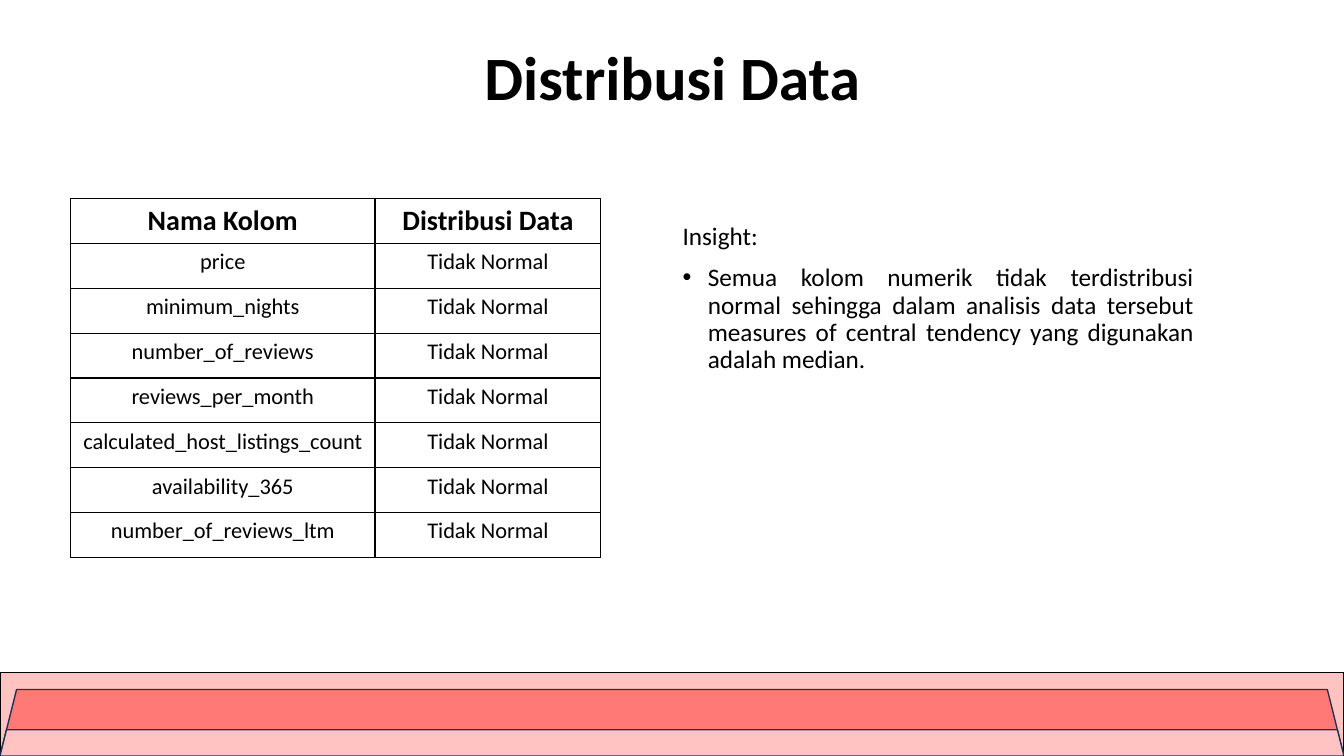
from pptx import Presentation
from pptx.dml.color import RGBColor
from pptx.enum.shapes import MSO_SHAPE as Preset
from pptx.enum.text import MSO_ANCHOR as Anchor, PP_ALIGN as Align
from pptx.oxml.ns import qn
from pptx.util import Inches, Pt
from lxml.etree import SubElement

BLACK = RGBColor(0x00, 0x00, 0x00)
WHITE = RGBColor(0xFF, 0xFF, 0xFF)
PINK = RGBColor(0xFF, 0xC4, 0xC2)
CORAL = RGBColor(0xFF, 0x79, 0x77)
NAVY = RGBColor(0x1E, 0x32, 0x56)
FONT = "Calibri"

SLIDE_WIDTH, SLIDE_HEIGHT = 13.33, 7.5
HEADERS = ("Nama Kolom", "Distribusi Data")
COLUMN_WIDTHS = (3.02, 2.24)
NUMERIC_COLUMNS = (
    "price",
    "minimum_nights",
    "number_of_reviews",
    "reviews_per_month",
    "calculated_host_listings_count",
    "availability_365",
    "number_of_reviews_ltm",
)
INSIGHT = (
    "Semua kolom numerik tidak terdistribusi normal sehingga dalam analisis "
    "data tersebut measures of central tendency yang digunakan adalah median."
)


def place(shape, left, top, width, height):
    shape.left, shape.top = Inches(left), Inches(top)
    shape.width, shape.height = Inches(width), Inches(height)


def add_run(paragraph, text, size, bold=False):
    run = paragraph.add_run()
    run.text = text
    run.font.name = FONT
    run.font.size = Pt(size)
    run.font.bold = bold
    run.font.color.rgb = BLACK


def set_bullet(paragraph, symbol=None):
    properties = paragraph._p.get_or_add_pPr()
    indent = Inches(0.25) if symbol else 0
    properties.set("marL", str(indent))
    properties.set("indent", str(-indent))
    if symbol:
        SubElement(properties, qn("a:buFont"), typeface="Arial")
        SubElement(properties, qn("a:buChar"), char=symbol)
    else:
        SubElement(properties, qn("a:buNone"))


def fill_title(title, left, top, width, height):
    place(title, left, top, width, height)
    title.text_frame.vertical_anchor = Anchor.MIDDLE
    paragraph = title.text_frame.paragraphs[0]
    paragraph.alignment = Align.CENTER
    paragraph.line_spacing = 0.9
    add_run(paragraph, "Distribusi Data", 44, bold=True)


def add_borders(cell):
    properties = cell._tc.get_or_add_tcPr()
    for position, side in enumerate(("lnL", "lnR", "lnT", "lnB")):
        line = properties.makeelement(qn(f"a:{side}"), {"w": str(Pt(1))})
        fill = SubElement(line, qn("a:solidFill"))
        SubElement(fill, qn("a:srgbClr"), val=str(BLACK))
        properties.insert(position, line)


def add_distribution_table(slide, left, top, width, height):
    rows = [HEADERS] + [(name, "Tidak Normal") for name in NUMERIC_COLUMNS]
    table = slide.shapes.add_table(
        len(rows), len(HEADERS),
        Inches(left), Inches(top), Inches(width), Inches(height),
    ).table
    for column, column_width in zip(table.columns, COLUMN_WIDTHS):
        column.width = Inches(column_width)
    for row_index, row in enumerate(rows):
        is_header = row_index == 0
        for column_index, text in enumerate(row):
            cell = table.cell(row_index, column_index)
            cell.fill.solid()
            cell.fill.fore_color.rgb = WHITE
            add_borders(cell)
            paragraph = cell.text_frame.paragraphs[0]
            paragraph.alignment = Align.CENTER
            add_run(paragraph, text, 20 if is_header else 16, bold=is_header)


def fill_insight(body, left, top, width, height):
    place(body, left, top, width, height)
    frame = body.text_frame
    heading, point = frame.paragraphs[0], frame.add_paragraph()
    set_bullet(heading)
    set_bullet(point, "•")
    for paragraph, text, space in ((heading, "Insight:", 0), (point, INSIGHT, 10)):
        paragraph.alignment = Align.JUSTIFY
        paragraph.line_spacing = 0.9
        paragraph.space_before = Pt(space)
        add_run(paragraph, text, 18)


def add_footer(slide, left, top, width, height):
    group = slide.shapes.add_group_shape()
    bands = (
        (Preset.RECTANGLE, 0, PINK, BLACK),
        (Preset.TRAPEZOID, 0.17, CORAL, NAVY),
        (Preset.TRAPEZOID, 0.57, PINK, NAVY),
    )
    for preset, offset, fill, outline in bands:
        band = group.shapes.add_shape(
            preset, Inches(left), Inches(top + offset),
            Inches(width), Inches(height - offset),
        )
        band.shadow.inherit = False
        band.fill.solid()
        band.fill.fore_color.rgb = fill
        band.line.color.rgb = outline
        band.line.width = Pt(1)


def main():
    presentation = Presentation()
    presentation.slide_width = Inches(SLIDE_WIDTH)
    presentation.slide_height = Inches(SLIDE_HEIGHT)
    slide = presentation.slides.add_slide(presentation.slide_layouts[1])
    fill_title(slide.shapes.title, 0.92, 0.4, 11.5, 0.79)
    add_distribution_table(slide, 0.7, 1.97, sum(COLUMN_WIDTHS), 3.56)
    fill_insight(slide.placeholders[1], 6.67, 2.17, 5.27, 4.76)
    add_footer(slide, 0, 6.67, SLIDE_WIDTH, 0.83)
    presentation.save("out.pptx")


if __name__ == "__main__":
    main()
